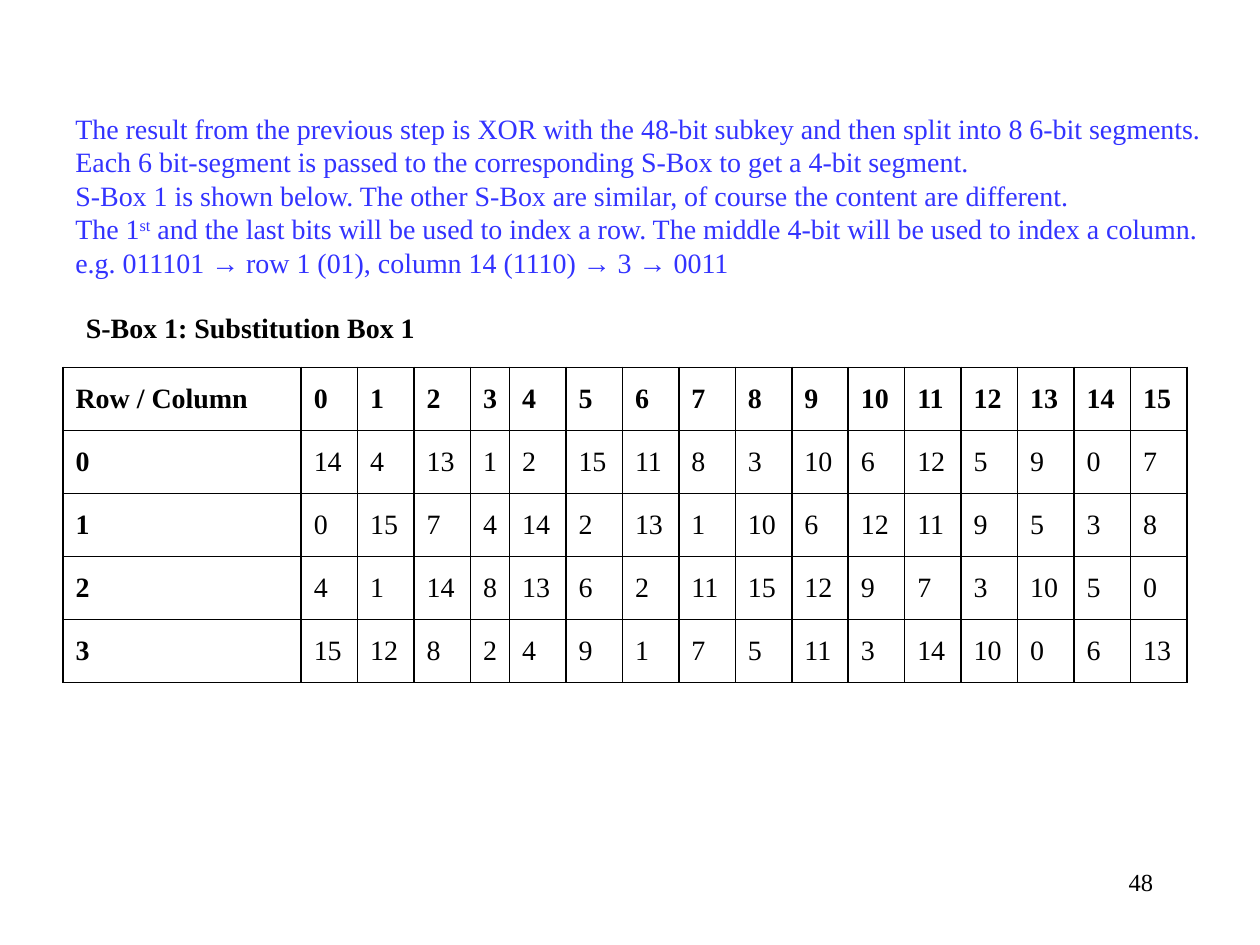
from dataclasses import dataclass

from lxml.etree import SubElement
from pptx import Presentation
from pptx.dml.color import RGBColor
from pptx.enum.text import MSO_ANCHOR, PP_ALIGN
from pptx.oxml.ns import qn
from pptx.util import Pt


@dataclass(frozen=True)
class Theme:
    font: str = "Times New Roman"
    ink: str = "000000"
    accent: str = "3333FF"
    body: int = 16
    small: int = 14
    rule: int = 1


@dataclass(frozen=True)
class Label:
    left: float
    top: float
    width: float
    height: float
    lines: tuple
    color: str
    size: int
    bold: bool = False
    wrap: bool = False
    align: PP_ALIGN = PP_ALIGN.LEFT
    anchor: MSO_ANCHOR = MSO_ANCHOR.TOP


THEME = Theme()
INTRO = (
    "The result from the previous step is XOR with the 48-bit subkey and then split into 8 6-bit segments.",
    "Each 6 bit-segment is passed to the corresponding S-Box to get a 4-bit segment.",
    "S-Box 1 is shown below. The other S-Box are similar, of course the content are different.",
    "The 1^st^ and the last bits will be used to index a row. The middle 4-bit will be used to index a column.",
    "e.g. 011101 → row 1 (01), column 14 (1110) → 3 → 0011",
)
LABELS = (
    Label(516, 492, 150, 36, ("48",), THEME.ink, THEME.small, wrap=True, align=PP_ALIGN.RIGHT),
    Label(42, 174, 207.5, 26.6, ("S-Box 1: Substitution Box 1",), THEME.ink, THEME.body,
          bold=True, anchor=MSO_ANCHOR.MIDDLE),
    Label(36, 60, 661.5, 103.7, INTRO, THEME.accent, THEME.body),
)
S_BOX = (
    (14, 4, 13, 1, 2, 15, 11, 8, 3, 10, 6, 12, 5, 9, 0, 7),
    (0, 15, 7, 4, 14, 2, 13, 1, 10, 6, 12, 11, 9, 5, 3, 8),
    (4, 1, 14, 8, 13, 6, 2, 11, 15, 12, 9, 7, 3, 10, 5, 0),
    (15, 12, 8, 2, 4, 9, 1, 7, 5, 11, 3, 14, 10, 0, 6, 13),
)
COL_WIDTHS = [136.1] + [22.3 if n == 3 else 32.26 for n in range(16)]
ROW_HEIGHT = 36


def apply_format(obj, values: dict) -> None:
    for name, value in values.items():
        setattr(obj, name, value)


def write_line(p, text: str, color: str, size: int, bold: bool) -> None:
    for i, part in enumerate(text.split("^")):
        r = p.add_run()
        r.text = part
        apply_format(r.font, {"name": THEME.font, "size": Pt(size), "bold": bold})
        r.font.color.rgb = RGBColor.from_string(color)
        if i % 2:
            r._r.get_or_add_rPr().set("baseline", "30000")


def draw_label(s, label: Label) -> None:
    sp = s.shapes.add_textbox(Pt(label.left), Pt(label.top), Pt(label.width), Pt(label.height))
    tf = sp.text_frame
    apply_format(tf, {"word_wrap": label.wrap, "vertical_anchor": label.anchor})
    for i, line in enumerate(label.lines):
        p = tf.add_paragraph() if i else tf.paragraphs[0]
        p.alignment = label.align
        write_line(p, line, label.color, label.size, label.bold)


def draw_borders(cell) -> None:
    tc_pr = cell._tc.get_or_add_tcPr()
    for side in ("a:lnL", "a:lnR", "a:lnT", "a:lnB"):
        ln = SubElement(tc_pr, qn(side), w=str(Pt(THEME.rule)))
        SubElement(SubElement(ln, qn("a:solidFill")), qn("a:srgbClr"), val=THEME.ink)


def draw_s_box(s, left: float, top: float) -> None:
    rows = [("Row / Column", *range(16))] + [(n, *row) for n, row in enumerate(S_BOX)]
    table = s.shapes.add_table(len(rows), len(COL_WIDTHS), Pt(left), Pt(top),
                               Pt(sum(COL_WIDTHS)), Pt(ROW_HEIGHT * len(rows))).table
    apply_format(table, {"first_row": False, "horz_banding": False})
    for col, width in zip(table.columns, COL_WIDTHS):
        col.width = Pt(width)
    for i, row in enumerate(rows):
        table.rows[i].height = Pt(ROW_HEIGHT)
        for j, value in enumerate(row):
            cell = table.cell(i, j)
            cell.vertical_anchor = MSO_ANCHOR.MIDDLE
            draw_borders(cell)
            cell.fill.background()
            write_line(cell.text_frame.paragraphs[0], str(value), THEME.ink, THEME.body,
                       bold=i == 0 or j == 0)


def main() -> None:
    prs = Presentation()
    apply_format(prs, {"slide_width": Pt(720), "slide_height": Pt(540)})
    s = prs.slides.add_slide(prs.slide_layouts[6])
    page_number, caption, intro = LABELS
    draw_label(s, page_number)
    draw_label(s, caption)
    draw_s_box(s, 36, 210)
    draw_label(s, intro)
    prs.save("out.pptx")


if __name__ == "__main__":
    main()
